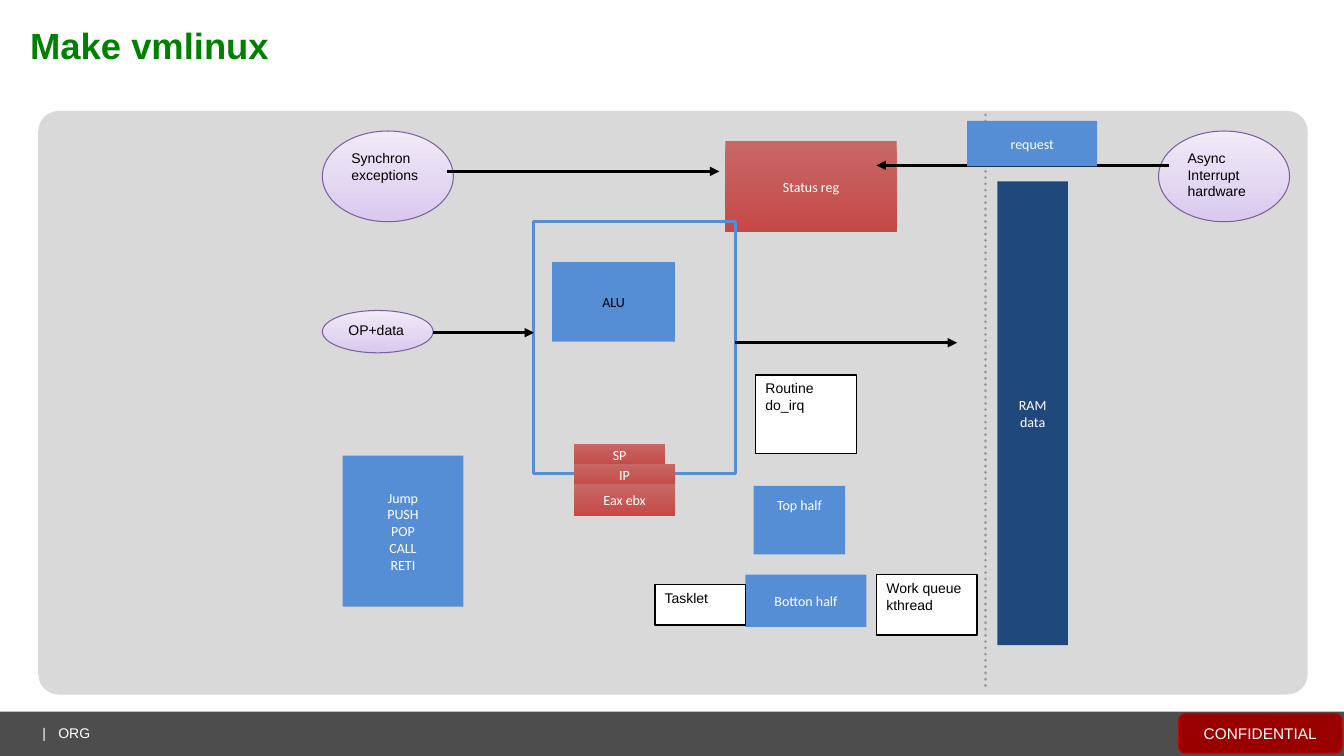
from lxml.etree import SubElement
from pptx import Presentation
from pptx.dml.color import RGBColor
from pptx.enum.dml import MSO_LINE
from pptx.enum.shapes import MSO_CONNECTOR, MSO_SHAPE as Shape
from pptx.enum.text import MSO_ANCHOR as Anchor, PP_ALIGN as Align
from pptx.oxml.ns import qn
from pptx.util import Inches, Pt

WHITE = RGBColor(0xFF, 0xFF, 0xFF)
BLACK = RGBColor(0, 0, 0)
GREEN = RGBColor(0, 0x80, 0)
PANEL_GRAY = RGBColor(0xD9, 0xD9, 0xD9)
FOOTER_GRAY = RGBColor(0x4D, 0x4D, 0x4D)
DOT_GRAY = RGBColor(0x99, 0x99, 0x99)
BLUE = RGBColor(0x55, 0x8E, 0xD5)
NAVY = RGBColor(0x1F, 0x49, 0x7D)
BADGE_RED = RGBColor(0x99, 0, 0)
BADGE_EDGE = RGBColor(0xC0, 0, 0)
PURPLE = RGBColor(0x7D, 0x5F, 0xA0)
RED_FADE = (RGBColor(0xC7, 0x68, 0x66), RGBColor(0xC5, 0x4A, 0x47))
LILAC_FADE = (RGBColor(0xF1, 0xEA, 0xF8), RGBColor(0xD9, 0xCA, 0xEE))


def write(shape, text, color, font="Calibri", size=10, align=Align.CENTER,
          anchor=Anchor.MIDDLE, bold=False):
    """Put text in a shape, one paragraph per line, and format it."""
    frame = shape.text_frame
    frame.text = text
    frame.word_wrap = True
    frame.vertical_anchor = anchor
    for paragraph in frame.paragraphs:
        paragraph.alignment = align
        for run in paragraph.runs:
            run.font.name, run.font.size = font, Pt(size)
            run.font.bold = bold
            run.font.color.rgb = color


def add_block(slide, box, at, fill=None, line=None, width=1, kind=Shape.RECTANGLE):
    """Add a shape at an offset from the box; a pair of colours fades downwards."""
    left, top, wide, high = at
    shape = slide.shapes.add_shape(kind, Inches(box[0] + left), Inches(box[1] + top),
                                   Inches(wide), Inches(high))
    shape.shadow.inherit = False
    if fill is None:
        shape.fill.background()
    elif fill in (RED_FADE, LILAC_FADE):
        shape.fill.gradient()
        shape.fill.gradient_angle = 270
        for stop, color in zip(shape.fill.gradient_stops, fill):
            stop.color.rgb = color
            stop.position = fill.index(color)
    else:
        shape.fill.solid()
        shape.fill.fore_color.rgb = fill
    if line is None:
        shape.line.fill.background()
    else:
        shape.line.color.rgb = line
        shape.line.width = Pt(width)
    return shape


def add_unit(slide, box, at, text, fill=BLUE, color=WHITE):
    """Add a borderless block with a centred label."""
    shape = add_block(slide, box, at, fill)
    write(shape, text, color)
    return shape


def add_note(slide, box, at, text):
    """Add a white note with a thin black border."""
    write(add_block(slide, box, at, WHITE, BLACK), text, BLACK, "Arial",
          align=Align.LEFT, anchor=Anchor.TOP)


def add_source(slide, box, at, text):
    """Add a lilac ellipse that feeds the processor."""
    shape = add_block(slide, box, at, LILAC_FADE, PURPLE, 0.75, Shape.OVAL)
    write(shape, text, BLACK, "Arial", align=Align.LEFT, anchor=Anchor.TOP)


def add_line(slide, box, start, end, color=BLACK):
    """Add a straight line between two offsets from the box."""
    connector = slide.shapes.add_connector(
        MSO_CONNECTOR.STRAIGHT, Inches(box[0] + start[0]), Inches(box[1] + start[1]),
        Inches(box[0] + end[0]), Inches(box[1] + end[1]))
    connector.line.color.rgb = color
    connector.line.width = Pt(2.25)
    SubElement(connector._element.spPr, qn("a:effectLst"))
    return connector


def add_arrow(slide, box, start, end):
    """Add a black line with a triangle at its end."""
    line = add_line(slide, box, start, end).get_or_add_ln()
    SubElement(line, qn("a:tailEnd"), type="triangle")


def add_text(slide, box):
    """Add a text box without vertical insets."""
    shape = slide.shapes.add_textbox(*map(Inches, box))
    frame = shape.text_frame
    frame.margin_top = frame.margin_bottom = 0
    return shape


def draw_title(slide, box):
    """Draw the slide title."""
    title = add_text(slide, box)
    title.text_frame.margin_left = 0
    write(title, "Make vmlinux", GREEN, "Arial", 26, Align.LEFT, Anchor.BOTTOM, True)


def draw_footer(slide, box):
    """Draw the footer bar with its owner and the confidentiality badge."""
    add_block(slide, box, (0, 0, box[2], box[3]), FOOTER_GRAY)
    badge = add_block(slide, box, (box[2] - 1.64, 0.02, 1.62, 0.39), BADGE_RED,
                      BADGE_EDGE, kind=Shape.ROUNDED_RECTANGLE)
    write(badge, "CONFIDENTIAL", WHITE, "Arial", 11)
    owner = add_text(slide, (box[0] + 0.26, box[1] + 0.07, 1.89, 0.29))
    owner.text_frame.margin_left = Inches(0.16)
    write(owner, "|\tORG", WHITE, "Arial", align=Align.LEFT)
    properties = owner.text_frame.paragraphs[0]._p.get_or_add_pPr()
    tabs = SubElement(properties, qn("a:tabLst"))
    SubElement(tabs, qn("a:tab"), pos=str(Inches(0.16)), algn="l")


def draw_panel(slide, box):
    """Draw the rounded gray panel behind the diagram."""
    panel = add_block(slide, box, (0, 0, box[2], box[3]), PANEL_GRAY,
                      kind=Shape.ROUNDED_RECTANGLE)
    panel.adjustments[0] = 0.035


def draw_memory(slide, box):
    """Draw the dotted boundary and the memory bar to its right."""
    boundary = add_line(slide, box, (0, 0), (0, box[3]), DOT_GRAY)
    boundary.line.dash_style = MSO_LINE.ROUND_DOT
    boundary.get_or_add_ln().set("cap", "rnd")
    add_unit(slide, box, (0.12, 0.66, 0.7, 4.6), "RAM\ndata", NAVY)


def draw_interrupts(slide, box):
    """Draw both event sources and their arrows to the status register."""
    add_unit(slide, box, (4, 0.2, 1.7, 0.9), "Status reg", RED_FADE)
    sources = ((0, "Synchron\nexceptions"),
               (box[2] - 1.3, "Async\nInterrupt\nhardware"))
    for left, text in sources:
        add_source(slide, box, (left, 0.1, 1.3, 0.9), text)
    add_arrow(slide, box, (1.24, 0.5), (3.94, 0.5))
    add_arrow(slide, box, (8.4, 0.44), (5.5, 0.44))
    add_unit(slide, box, (6.4, 0, 1.29, 0.45), "request")


def draw_processor(slide, box):
    """Draw the processor with its input, output, registers and instructions."""
    add_source(slide, box, (0, 0.88, 1.1, 0.42), "OP+data")
    add_block(slide, box, (2.1, 0, 2, 2.5), line=BLUE, width=2.25)
    add_arrow(slide, box, (1.1, 1.1), (2.1, 1.1))
    add_arrow(slide, box, (4.1, 1.2), (6.3, 1.2))
    add_unit(slide, box, (2.28, 0.4, 1.22, 0.79), "ALU", color=BLACK)
    add_unit(slide, box, (0.2, 2.32, 1.2, 1.5), "Jump\nPUSH\nPOP\nCALL\nRETI")
    registers = (("SP", 0.9, 0.22), ("IP", 1, 0.22), ("Eax ebx", 1, 0.32))
    for index, (name, wide, high) in enumerate(registers):
        add_unit(slide, box, (2.5, 2.2 + 0.2 * index, wide, high), name, RED_FADE)


def draw_handlers(slide, box):
    """Draw the interrupt routine, its two halves and the deferred work."""
    add_note(slide, box, (1, 0, 1, 0.78), "Routine\ndo_irq")
    top_half = add_unit(slide, box, (0.98, 1.1, 0.91, 0.68), "Top half")
    top_half.text_frame.margin_bottom = Inches(0.35)
    add_unit(slide, box, (0.9, 1.98, 1.2, 0.52), "Botton half")
    add_note(slide, box, (2.2, 1.98, 1, 0.6), "Work queue\nkthread")
    add_note(slide, box, (0, 2.08, 0.9, 0.4), "Tasklet")


presentation = Presentation()
presentation.slide_width, presentation.slide_height = Inches(13.34), Inches(7.5)
slide = presentation.slides.add_slide(presentation.slide_layouts[6])
draw_footer(slide, (0, 7.06, 13.34, 0.44))
draw_panel(slide, (0.38, 1.1, 12.6, 5.79))
draw_memory(slide, (9.78, 1.14, 0.82, 5.7))
draw_interrupts(slide, (3.2, 1.2, 9.6, 1.1))
draw_processor(slide, (3.2, 2.2, 6.3, 3.82))
draw_handlers(slide, (6.5, 3.72, 3.2, 2.58))
draw_title(slide, (0.3, 0.19, 12.73, 0.47))
presentation.save("out.pptx")
